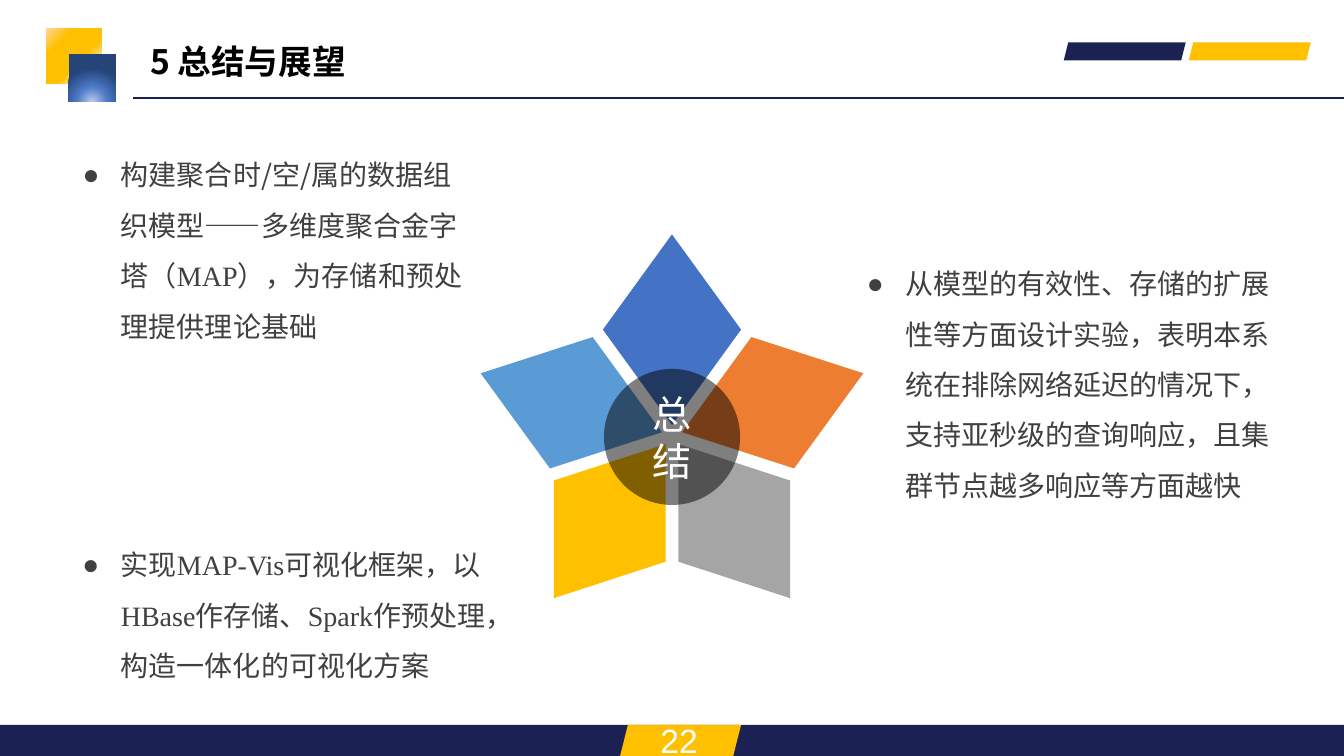
"""Build the summary slide: five-petal star with three bulleted conclusions."""
from math import cos, radians, sin

from lxml import etree
from pptx import Presentation
from pptx.dml.color import RGBColor
from pptx.enum.shapes import MSO_CONNECTOR, MSO_SHAPE
from pptx.enum.text import MSO_ANCHOR, MSO_AUTO_SIZE, PP_ALIGN
from pptx.oxml import parse_xml
from pptx.oxml.ns import nsdecls, qn
from pptx.util import Inches, Pt

RECT, SLANT = MSO_SHAPE.RECTANGLE, MSO_SHAPE.PARALLELOGRAM
DIAMOND, OVAL = MSO_SHAPE.DIAMOND, MSO_SHAPE.OVAL
CENTER, LEFT = PP_ALIGN.CENTER, PP_ALIGN.LEFT
TOP, MIDDLE = MSO_ANCHOR.TOP, MSO_ANCHOR.MIDDLE
CJK, LATIN, SANS = "Noto Sans CJK SC", "Times New Roman", "Arial"
COLORS = {
    "navy": "1B2153", "gold": "FFC000", "black": "000000", "white": "FFFFFF",
    "text": "404040", "blue": "4472C4", "orange": "ED7D31", "gray": "A5A5A5",
    "sky": "5B9BD5",
}
W, H = 13.33, 7.5
CX = W / 2

prs = Presentation()
prs.slide_width, prs.slide_height = Inches(W), Inches(H)
s = prs.slides.add_slide(prs.slide_layouts[5])


def add_block(kind, x, y, w, h, color):
    sp = s.shapes.add_shape(kind, Inches(x), Inches(y), Inches(w), Inches(h))
    sp.shadow.inherit = False
    sp.fill.solid()
    sp.fill.fore_color.rgb = RGBColor.from_string(COLORS[color])
    sp.line.fill.background()
    return sp


def add_run(p, text, size, color, font=CJK, bold=False):
    r = p.add_run()
    r.text = text
    r.font.size, r.font.bold, r.font.name = Pt(size), bold, font
    r.font.color.rgb = RGBColor.from_string(COLORS[color])
    etree.SubElement(r.font._element, qn("a:ea")).set("typeface", font)


FOOT = 7.19
add_block(RECT, 0, FOOT, W, H - FOOT, "navy")
add_block(SLANT, 6.14, FOOT, 1.21, 0.35, "gold")
for i, color in enumerate(("navy", "gold")):
    add_block(SLANT, 10.55 + 1.24 * i, 0.42, 1.21, 0.18, color)

squares = [
    (0.46, 0.28, 0.55, [(0, "FFD8A0"), (25, "FFC000"), (59, "FFC000"), (84, "FBF0DF")],
     '<a:lin ang="2700000" scaled="0"/>'),
    (0.68, 0.54, 0.47, [(0, "BCCCEA"), (46, "4D79C7"), (100, "264478")],
     '<a:path path="circle"><a:fillToRect l="50000" t="130000" r="50000" b="-30000"/></a:path>'),
]
for x, y, side, stops, direction in squares:
    sp = add_block(RECT, x, y, side, side, "gold")
    gs = "".join(f'<a:gs pos="{pos * 1000}"><a:srgbClr val="{c}"/></a:gs>' for pos, c in stops)
    solid = sp._element.spPr.find(qn("a:solidFill"))
    solid.getparent().replace(solid, parse_xml(
        f'<a:gradFill {nsdecls("a")} rotWithShape="1"><a:gsLst>{gs}</a:gsLst>{direction}</a:gradFill>'))

rule = s.shapes.add_connector(MSO_CONNECTOR.STRAIGHT, Inches(1.32), Inches(0.97), Inches(W), Inches(0.97))
rule.line.color.rgb = RGBColor.from_string(COLORS["navy"])
rule.line.width = Pt(1.5)
etree.SubElement(rule._element.spPr, qn("a:effectLst"))

title = s.shapes.title
title.left, title.top, title.width, title.height = map(Inches, (1.39, 0.36, 4.8, 0.5))
tf = title.text_frame
tf.auto_size, tf.vertical_anchor, tf.word_wrap = MSO_AUTO_SIZE.NONE, TOP, True
tf.paragraphs[0].alignment = LEFT
add_run(tf.paragraphs[0], "5 总结与展望", 24, "black", bold=True)

sp = s.shapes.add_textbox(Inches(6.36), Inches(7.14), Inches(0.75), Inches(0.4))
tf = sp.text_frame
tf.word_wrap, tf.vertical_anchor = True, MIDDLE
tf.paragraphs[0].alignment = CENTER
add_run(tf.paragraphs[0], "22", 24, "white", SANS)

STAR_Y, RADIUS, PETAL_W, PETAL_H = 4.32, 1.05, 1.37, 1.89
for i, color in enumerate(("blue", "orange", "gray", "gold", "sky")):
    angle = 72 * i
    x = CX + RADIUS * sin(radians(angle)) - PETAL_W / 2
    y = STAR_Y - RADIUS * cos(radians(angle)) - PETAL_H / 2
    add_block(DIAMOND, x, y, PETAL_W, PETAL_H, color).rotation = angle

points = [
    (0.72, 1.35, 4.12, 2.06, [
        ("构建聚合时/空/属的数据组织模型——多维度聚合金字塔（", CJK), ("MAP", LATIN),
        ("），为存储和预处理提供理论基础", CJK)]),
    (8.5, 2.43, 4.31, 2.63, [
        ("从模型的有效性、存储的扩展性等方面设计实验，表明本系统在排除网络延迟的情况下，"
         "支持亚秒级的查询响应，且集群节点越多响应等方面越快", CJK)]),
    (0.72, 5.22, 4.3, 1.56, [
        ("实现", CJK), ("MAP-Vis", LATIN), ("可视化框架，以", CJK), ("HBase", LATIN),
        ("作存储、", CJK), ("Spark", LATIN), ("作预处理，构造一体化的可视化方案", CJK)]),
]
for x, y, w, h, runs in points:
    sp = s.shapes.add_textbox(Inches(x), Inches(y), Inches(w), Inches(h))
    tf = sp.text_frame
    tf.word_wrap, tf.auto_size = True, MSO_AUTO_SIZE.SHAPE_TO_FIT_TEXT
    p = tf.paragraphs[0]
    pPr = p._p.get_or_add_pPr()
    pPr.set("marL", str(Inches(0.38)))
    pPr.set("indent", str(-Inches(0.38)))
    etree.SubElement(pPr, qn("a:buFont")).set("typeface", SANS)
    etree.SubElement(pPr, qn("a:buChar")).set("char", "●")
    p.line_spacing = 1.5
    for text, font in runs:
        add_run(p, text, 20, "text", font)

HUB = 1.35
hub = add_block(OVAL, CX - HUB / 2, 3.66, HUB, HUB, "black")
etree.SubElement(hub._element.spPr.find(qn("a:solidFill"))[0], qn("a:alpha")).set("val", "50000")
tf = hub.text_frame
tf.word_wrap, tf.vertical_anchor = True, MIDDLE
tf.paragraphs[0].alignment = CENTER
add_run(tf.paragraphs[0], "总结", 28, "white")

prs.save("out.pptx")
